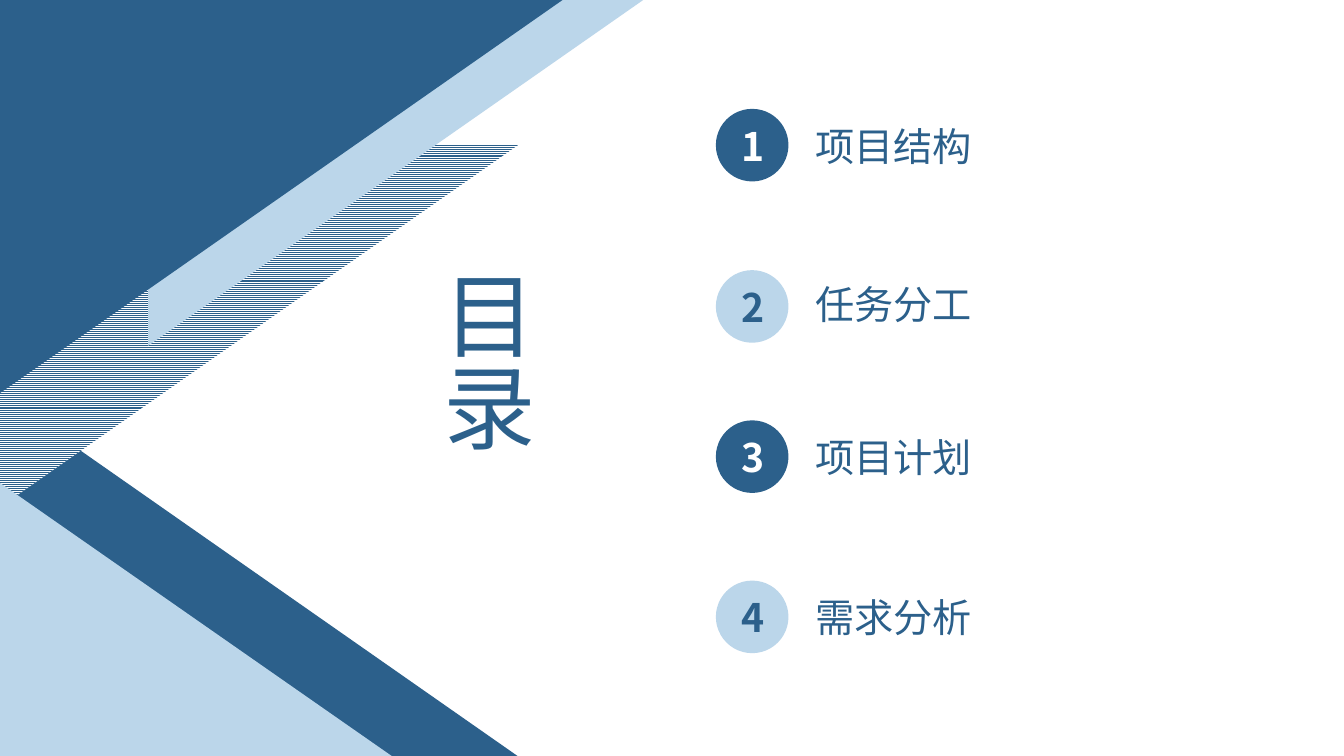
from dataclasses import dataclass

from pptx import Presentation
from pptx.dml.color import RGBColor
from pptx.enum.dml import MSO_PATTERN
from pptx.enum.shapes import MSO_SHAPE
from pptx.enum.text import MSO_ANCHOR, MSO_AUTO_SIZE, PP_ALIGN
from pptx.oxml.ns import qn
from pptx.shapes.autoshape import Shape
from pptx.slide import Slide
from pptx.util import Inches, Pt


@dataclass(frozen=True)
class Theme:
    font: str = "Noto Sans CJK SC"
    dark: RGBColor = RGBColor(0x2C, 0x60, 0x8B)
    light: RGBColor = RGBColor(0xBB, 0xD6, 0xEA)
    white: RGBColor = RGBColor(0xFF, 0xFF, 0xFF)
    title_size: int = 66
    item_size: int = 28


@dataclass(frozen=True)
class Triangle:
    left: float
    top: float
    width: float
    height: float
    color: RGBColor
    flipped: bool = False
    striped: bool = False


@dataclass(frozen=True)
class Chapter:
    name: str
    badge_top: float
    name_top: float


THEME = Theme()
TRIANGLES = [
    Triangle(0.78, 3.14, 3.6, 5.15, THEME.dark, flipped=True),
    Triangle(0.77, 0.66, 3.6, 5.15, THEME.dark, striped=True),
    Triangle(2.21, -0.74, 3.43, 4.91, THEME.light),
    Triangle(0.84, -0.84, 3.9, 5.58, THEME.dark),
    Triangle(0.59, 4.2, 2.72, 3.9, THEME.light, flipped=True),
]
CHAPTERS = [
    Chapter("项目结构", 1.08, 1.16),
    Chapter("任务分工", 2.68, 2.73),
    Chapter("项目计划", 4.17, 4.25),
    Chapter("需求分析", 5.76, 5.84),
]
BADGE_LEFT, BADGE_SIZE = 7.1, 0.72
NUMBER_LEFT, NUMBER_WIDTH, NUMBER_DROP = 7.26, 0.4, 0.08
NAME_LEFT, NAME_WIDTH = 7.99, 2.94
LINE_HEIGHT = 0.57


def write(holder: Shape, text: str, size: int, color: RGBColor,
          bold: bool = False, align: PP_ALIGN = PP_ALIGN.LEFT) -> None:
    frame = holder.text_frame
    frame.text = text
    frame.word_wrap = True
    frame.auto_size = MSO_AUTO_SIZE.SHAPE_TO_FIT_TEXT
    frame.vertical_anchor = MSO_ANCHOR.TOP
    paragraph = frame.paragraphs[0]
    paragraph.alignment = align
    font = paragraph.runs[0].font
    font.name, font.size, font.bold = THEME.font, Pt(size), bold
    font.color.rgb = color
    # East Asian typeface
    east_asian = font.latin if hasattr(font, "latin") else None
    if east_asian is None:
        properties = paragraph.runs[0].font._element
        latin = properties.find(qn("a:latin"))
        east_asian = latin.makeelement(qn("a:ea"), {"typeface": THEME.font})
        latin.addnext(east_asian)


def add_triangle(slide: Slide, triangle: Triangle) -> None:
    corner = slide.shapes.add_shape(
        MSO_SHAPE.RIGHT_TRIANGLE, Inches(triangle.left), Inches(triangle.top),
        Inches(triangle.width), Inches(triangle.height))
    corner.rotation = 90
    corner.shadow.inherit = False
    corner.line.fill.background()
    if triangle.flipped:
        corner.element.spPr.xfrm.set("flipH", "1")
    if triangle.striped:
        corner.fill.patterned()
        corner.fill.pattern = MSO_PATTERN.LIGHT_HORIZONTAL
        corner.fill.fore_color.rgb = triangle.color
        corner.fill.back_color.rgb = THEME.white
    else:
        corner.fill.solid()
        corner.fill.fore_color.rgb = triangle.color


def add_line(slide: Slide, text: str, left: float, top: float, width: float,
             color: RGBColor, bold: bool = False) -> None:
    line = slide.shapes.add_textbox(
        Inches(left), Inches(top), Inches(width), Inches(LINE_HEIGHT))
    write(line, text, THEME.item_size, color, bold)


def add_chapter(slide: Slide, number: int, chapter: Chapter) -> None:
    odd = number % 2 == 1
    badge = slide.shapes.add_shape(
        MSO_SHAPE.OVAL, Inches(BADGE_LEFT), Inches(chapter.badge_top),
        Inches(BADGE_SIZE), Inches(BADGE_SIZE))
    badge.shadow.inherit = False
    badge.line.fill.background()
    badge.fill.solid()
    badge.fill.fore_color.rgb = THEME.dark if odd else THEME.light
    add_line(slide, str(number), NUMBER_LEFT, chapter.badge_top + NUMBER_DROP,
             NUMBER_WIDTH, THEME.white if odd else THEME.dark, bold=True)
    add_line(slide, chapter.name, NAME_LEFT, chapter.name_top,
             NAME_WIDTH, THEME.dark)


def main() -> None:
    presentation = Presentation()
    presentation.slide_width = Inches(13.33)
    presentation.slide_height = Inches(7.5)
    slide = presentation.slides.add_slide(presentation.slide_layouts[5])

    # Corner decoration
    for triangle in TRIANGLES:
        add_triangle(slide, triangle)

    # Vertical title
    title = slide.shapes.title
    title.left, title.top = Inches(4.16), Inches(2.62)
    title.width, title.height = Inches(1.31), Inches(2.21)
    write(title, "目录", THEME.title_size, THEME.dark, align=PP_ALIGN.JUSTIFY)
    title.text_frame._txBody.bodyPr.set("vert", "eaVert")

    # Numbered chapters
    for number, chapter in enumerate(CHAPTERS, start=1):
        add_chapter(slide, number, chapter)

    presentation.save("out.pptx")


if __name__ == "__main__":
    main()
